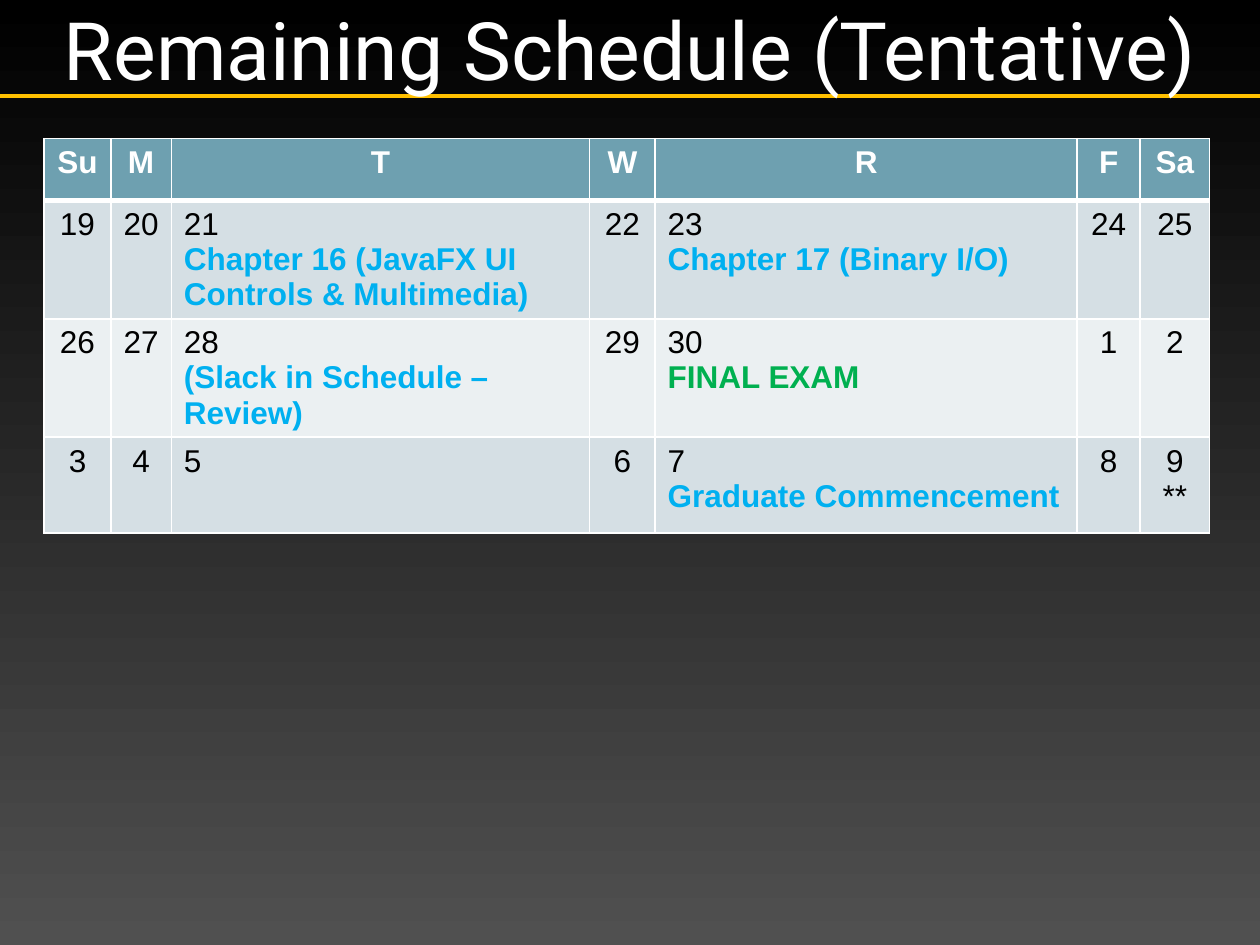
from lxml import etree
from pptx import Presentation
from pptx.dml.color import RGBColor
from pptx.enum.shapes import MSO_CONNECTOR
from pptx.enum.text import MSO_ANCHOR, MSO_AUTO_SIZE, PP_ALIGN
from pptx.oxml.ns import qn
from pptx.util import Inches, Pt

STRAIGHT = MSO_CONNECTOR.STRAIGHT
MIDDLE = MSO_ANCHOR.MIDDLE
NO_FIT = MSO_AUTO_SIZE.NONE
CENTER, LEFT = PP_ALIGN.CENTER, PP_ALIGN.LEFT

COLORS = {
    "top": "000000", "bottom": "505050", "rule": "FFC000", "white": "FFFFFF",
    "black": "000000", "header": "6EA0B0", "band": "D5DFE4", "light": "EBF0F2",
    "topic": "00B0F0", "exam": "00B050",
}
COLUMN_WIDTHS = [0.53, 0.48, 3.32, 0.52, 3.35, 0.5, 0.55]
ROW_HEIGHTS = [0.49, 0.76, 0.76, 0.76]
WIDE_COLUMNS = (2, 4)
SCHEDULE = [
    ["Su", "M", "T", "W", "R", "F", "Sa"],
    ["19", "20", "21\nChapter 16 (JavaFX UI Controls & Multimedia)", "22",
     "23\nChapter 17 (Binary I/O)", "24", "25"],
    ["26", "27", "28\n(Slack in Schedule – Review)", "29",
     "30\nFINAL EXAM", "1", "2"],
    ["3", "4", "5", "6", "7\nGraduate Commencement", "8", "9\n**"],
]


def rgb(name):
    """Return the named colour."""
    return RGBColor.from_string(COLORS[name])


def write(para, text, size=18, font="Arial", color="black", bold=False, align=LEFT):
    """Put one formatted run of text in a paragraph."""
    para.alignment = align
    span = para.add_run()
    span.text = text
    span.font.size = Pt(size)
    span.font.name = font
    span.font.bold = bold
    span.font.color.rgb = rgb(color)


def paint_background(page):
    """Fill the page with a vertical gradient."""
    fill = page.background.fill
    fill.gradient()
    fill.gradient_angle = 270
    for stop, name in zip(fill.gradient_stops, ("top", "bottom")):
        stop.color.rgb = rgb(name)


def add_rule(page, top):
    """Draw the full-width rule behind everything else."""
    rule = page.shapes.add_connector(
        STRAIGHT, Inches(0), Inches(top), Inches(10), Inches(top))
    rule.line.color.rgb = rgb("rule")
    rule.line.width = Pt(2.5)
    properties = rule._element.spPr
    etree.SubElement(properties, qn("a:effectLst"))
    page.shapes._spTree.insert(2, rule._element)


def add_title(page, text, height):
    """Place and fill the title placeholder."""
    title = page.shapes.title
    title.left, title.top = Inches(0), Inches(0)
    title.width, title.height = Inches(10), Inches(height)
    frame = title.text_frame
    frame.auto_size = NO_FIT
    frame.word_wrap = True
    frame.vertical_anchor = MIDDLE
    frame.margin_left = frame.margin_right = Inches(0.05)
    frame.margin_top = frame.margin_bottom = Inches(0.05)
    write(frame.paragraphs[0], text, size=46, font="Roboto", color="white", align=CENTER)


def add_borders(cell, **widths):
    """Give the cell white borders, with widths in points by side."""
    properties = cell._tc.get_or_add_tcPr()
    for side in "LRTB":
        line = etree.SubElement(
            properties, qn(f"a:ln{side}"), w=str(Pt(widths.get(side, 1))))
        fill = etree.SubElement(line, qn("a:solidFill"))
        etree.SubElement(fill, qn("a:srgbClr"), val=COLORS["white"])


def fill_cell(cell, text, row, column):
    """Style one calendar cell and write its date and event."""
    header = row == 0
    add_borders(cell, T=3 if row == 1 else 1, B=3 if header else 1)
    cell.fill.solid()
    cell.fill.fore_color.rgb = rgb("header" if header else "band" if row % 2 else "light")
    wide = column in WIDE_COLUMNS
    align = LEFT if wide and not header else CENTER
    frame = cell.text_frame
    for number, line in enumerate(text.split("\n")):
        para = frame.add_paragraph() if number else frame.paragraphs[0]
        event = wide and number > 0
        color = "white" if header else "black"
        if event:
            color = "exam" if "EXAM" in line else "topic"
        write(para, line, color=color, bold=header or event, align=align)


def add_schedule(page):
    """Add the calendar table."""
    table = page.shapes.add_table(
        len(SCHEDULE), len(COLUMN_WIDTHS), Inches(0.35), Inches(1.1),
        Inches(sum(COLUMN_WIDTHS)), Inches(sum(ROW_HEIGHTS))).table
    for column, width in zip(table.columns, COLUMN_WIDTHS):
        column.width = Inches(width)
    for row, height in zip(table.rows, ROW_HEIGHTS):
        row.height = Inches(height)
    for row, texts in enumerate(SCHEDULE):
        for column, text in enumerate(texts):
            fill_cell(table.cell(row, column), text, row, column)


def main():
    """Build the schedule slide and save it."""
    deck = Presentation()
    deck.slide_width, deck.slide_height = Inches(10), Inches(7.5)
    page = deck.slides.add_slide(deck.slide_layouts[5])
    paint_background(page)
    add_rule(page, 0.76)
    add_title(page, "Remaining Schedule (Tentative)", 0.76)
    add_schedule(page)
    deck.save("out.pptx")


if __name__ == "__main__":
    main()
